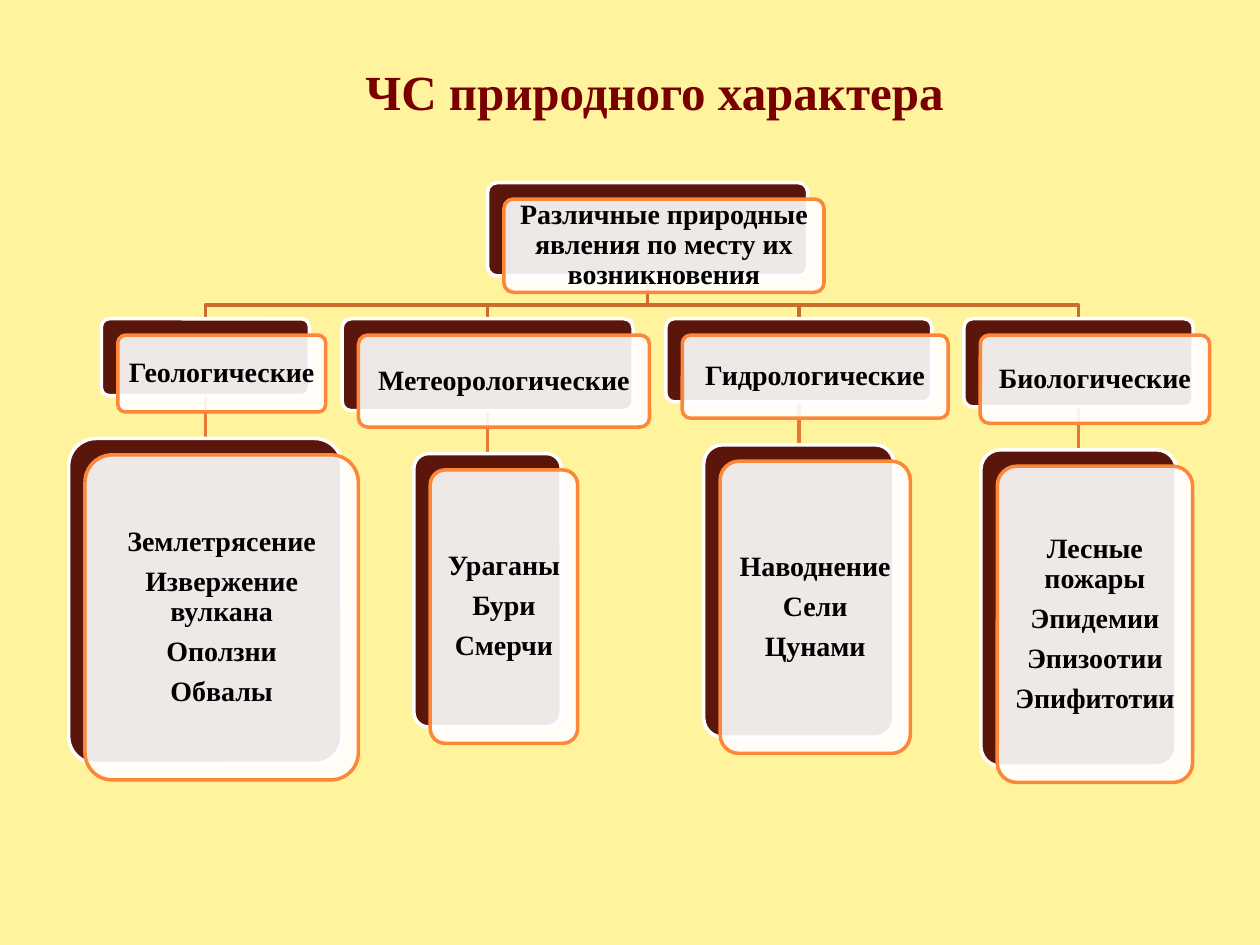
from pptx import Presentation, util as u
from pptx.dml.color import RGBColor
from pptx.enum import shapes, text
from pptx.oxml.ns import qn
from lxml import etree

# Content: heading, causes, centre of column, heading size, causes size
TITLE = "ЧС природного характера"
ROOT = "Различные природные явления по месту их возникновения"
GROUPS = [
    ("Геологические",
     ["Землетрясение", "Извержение вулкана", "Оползни", "Обвалы"],
     1.63, (1.65, 0.61), (2.17, 2.58)),
    ("Метеорологические", ["Ураганы", "Бури", "Смерчи"],
     3.87, (2.31, 0.73), (1.17, 2.17)),
    ("Гидрологические", ["Наводнение", "Сели", "Цунами"],
     6.34, (2.11, 0.66), (1.51, 2.32)),
    ("Биологические",
     ["Лесные пожары", "Эпидемии", "Эпизоотии", "Эпифитотии"],
     8.56, (1.82, 0.7), (1.55, 2.51)),
]

# Layout in inches
ROOT_CENTER, ROOT_TOP, ROOT_SIZE = 5.14, 1.45, (2.54, 0.74)
ROOT_BOTTOM = ROOT_TOP + ROOT_SIZE[1]
BUS_Y = 2.42
GAP = 0.34
HEADING_TOP = ROOT_BOTTOM + GAP
CARD_OFFSET = 0.13

FONT = "Times New Roman"
BACKGROUND = RGBColor(0xFF, 0xF3, 0x9D)
TITLE_RED = RGBColor(0x7A, 0x00, 0x00)
BROWN = RGBColor(0x5A, 0x16, 0x0B)
ORANGE = RGBColor(0xFE, 0x86, 0x37)
BUS_ORANGE = RGBColor(0xCB, 0x6B, 0x2C)
STEM_ORANGE = RGBColor(0xE7, 0x7A, 0x32)
WHITE = RGBColor(0xFF, 0xFF, 0xFF)
BLACK = RGBColor(0, 0, 0)


def write_text(shape, lines, size=16, color=BLACK, align=text.PP_ALIGN.CENTER,
               margin=0.07, spacing=0.9, after=5.6, wrap=True):
    frame = shape.text_frame
    frame.word_wrap = wrap
    frame.auto_size = text.MSO_AUTO_SIZE.NONE
    frame.vertical_anchor = text.MSO_ANCHOR.MIDDLE
    frame.margin_left = frame.margin_right = u.Inches(margin)
    frame.margin_top = frame.margin_bottom = u.Inches(0.07)
    for index, line in enumerate(lines):
        paragraph = frame.paragraphs[0] if index == 0 else frame.add_paragraph()
        paragraph.alignment = align
        paragraph.line_spacing = spacing
        paragraph.space_after = u.Pt(after)
        run = paragraph.add_run()
        run.text = line
        run.font.name, run.font.size, run.font.bold = FONT, u.Pt(size), True
        run.font.color.rgb = color


def add_panel(slide, left, top, size, fill, line):
    shape = slide.shapes.add_shape(
        shapes.MSO_SHAPE.ROUNDED_RECTANGLE,
        *(u.Inches(value) for value in (left, top, *size)))
    shape.adjustments[0] = 0.1
    shape.shadow.inherit = False
    shape.fill.solid()
    shape.fill.fore_color.rgb = fill
    shape.line.color.rgb = line
    shape.line.width = u.Pt(2)
    return shape


def add_card(slide, center, top, size, lines):
    left = center - size[0] / 2
    add_panel(slide, left, top, size, BROWN, WHITE)
    card = add_panel(slide, left + CARD_OFFSET, top + CARD_OFFSET, size,
                     WHITE, ORANGE)
    color = card.fill._xPr.find(qn("a:solidFill"))[0]
    etree.SubElement(color, qn("a:alpha"), val="90000")
    write_text(card, lines)


def add_branch(slide, center):
    points = [(u.Inches(x), u.Inches(y)) for x, y in (
        (ROOT_CENTER, ROOT_BOTTOM), (ROOT_CENTER, BUS_Y),
        (center, BUS_Y), (center, HEADING_TOP))]
    builder = slide.shapes.build_freeform(*points[0])
    builder.add_line_segments(points[1:], close=False)
    branch = builder.convert_to_shape()
    branch.shadow.inherit = False
    branch.fill.background()
    branch.line.color.rgb = BUS_ORANGE
    branch.line.width = u.Pt(2)


def add_stem(slide, center, top):
    stem = slide.shapes.add_connector(
        shapes.MSO_CONNECTOR.STRAIGHT, u.Inches(center), u.Inches(top),
        u.Inches(center), u.Inches(top + GAP))
    stem.line.color.rgb = STEM_ORANGE
    stem.line.width = u.Pt(2)
    etree.SubElement(stem._element.spPr, qn("a:effectLst"))


def main():
    presentation = Presentation()
    presentation.slide_width = u.Inches(10)
    presentation.slide_height = u.Inches(7.5)
    slide = presentation.slides.add_slide(presentation.slide_layouts[5])
    slide.background.fill.solid()
    slide.background.fill.fore_color.rgb = BACKGROUND

    # Title
    title = slide.shapes.title
    title.left, title.top = u.Inches(2.8), u.Inches(0.44)
    title.width, title.height = u.Inches(4.84), u.Inches(0.57)
    write_text(title, [TITLE], size=28, color=TITLE_RED, margin=0.1,
               align=text.PP_ALIGN.LEFT, spacing=1, after=0, wrap=False)

    # Lines behind the cards
    for _, _, center, size, _ in GROUPS:
        add_stem(slide, center, HEADING_TOP + size[1])
        add_branch(slide, center)

    # Cards
    add_card(slide, ROOT_CENTER, ROOT_TOP, ROOT_SIZE, [ROOT])
    for heading, causes, center, heading_size, causes_size in GROUPS:
        add_card(slide, center, HEADING_TOP, heading_size, [heading])
        add_card(slide, center, HEADING_TOP + heading_size[1] + GAP,
                 causes_size, causes)

    presentation.save("out.pptx")


if __name__ == "__main__":
    main()
